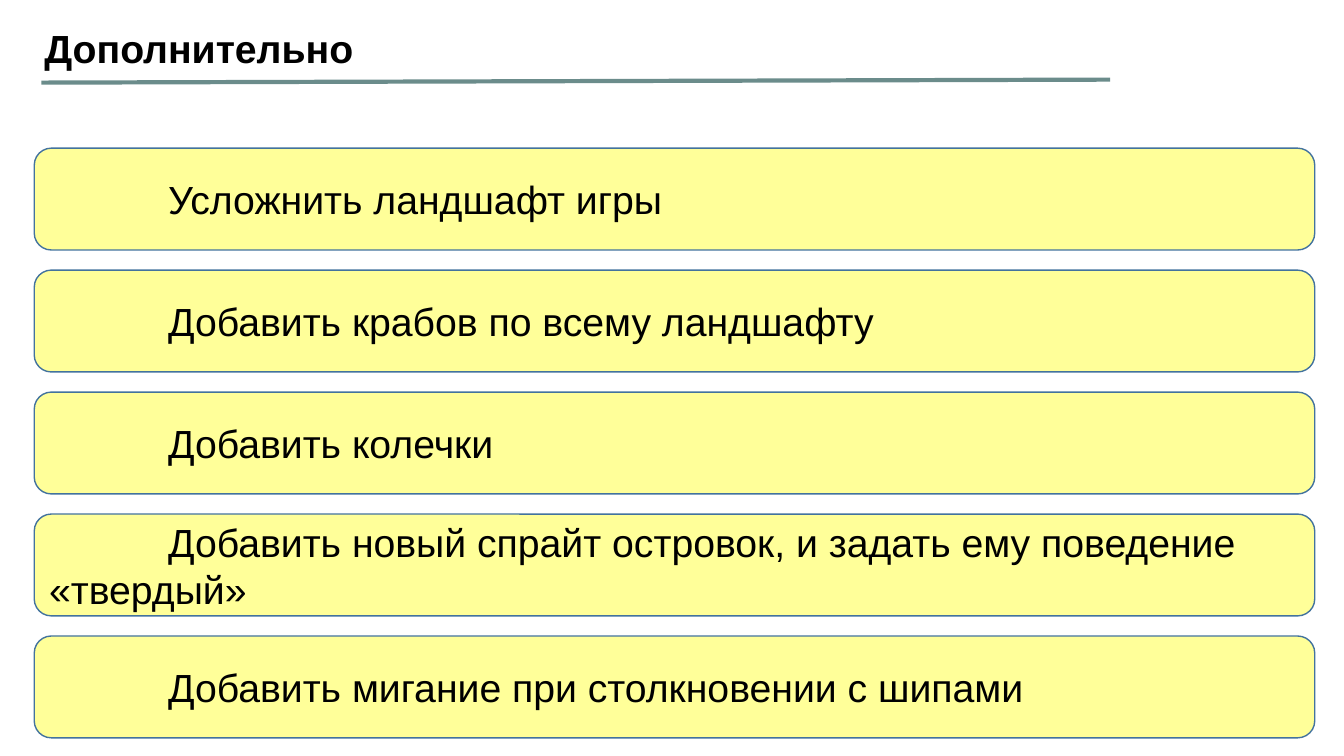
"""Build the slide that lists additional game tasks."""
from dataclasses import dataclass

import pptx
import pptx.dml.color
import pptx.enum.shapes
import pptx.enum.text
import pptx.util
from lxml import etree
from pptx.oxml.ns import qn

Inches = pptx.util.Inches
Pt = pptx.util.Pt
RGBColor = pptx.dml.color.RGBColor


@dataclass(frozen=True)
class Theme:
    """Hold the colours, font and sizes of the slide."""
    font: str = "Arial"
    text_size: int = 28
    text: str = "000000"
    card_fill: str = "FFFF99"
    card_line: str = "43739E"
    rule: str = "6B8C8B"
    card_line_width: int = 1
    rule_width: int = 3


THEME = Theme()
TASKS = [
    "Усложнить ландшафт игры",
    "Добавить крабов по всему ландшафту",
    "Добавить колечки",
    "Добавить новый спрайт островок, и задать ему поведение «твердый»",
    "Добавить мигание при столкновении с шипами",
]
LEFT, WIDTH = 0.34, 12.7
CARDS_TOP, CARD_HEIGHT, CARD_PITCH = 1.47, 1.01, 1.21
FIRST_LINE_INDENT = 1.18


def set_values(target, values):
    """Set each attribute of the target from a dict."""
    for name, value in values.items():
        setattr(target, name, value)


def set_line(line, colour, width):
    """Give a line its colour and width in points."""
    line.color.rgb = RGBColor.from_string(colour)
    line.width = Pt(width)


def write_text(shape, text, bold=False):
    """Write one left-aligned, vertically centred paragraph."""
    frame = shape.text_frame
    set_values(frame, {
        "text": text,
        "word_wrap": True,
        "vertical_anchor": pptx.enum.text.MSO_ANCHOR.MIDDLE,
    })
    paragraph = frame.paragraphs[0]
    paragraph.alignment = pptx.enum.text.PP_ALIGN.LEFT
    set_values(paragraph.font, {
        "name": THEME.font, "size": Pt(THEME.text_size), "bold": bold,
    })
    paragraph.font.color.rgb = RGBColor.from_string(THEME.text)
    return paragraph


def add_title(slide, text):
    """Place and format the title placeholder."""
    title = slide.shapes.title
    set_values(title, {
        "left": Inches(LEFT), "top": Inches(0.13),
        "width": Inches(WIDTH), "height": Inches(0.74),
    })
    write_text(title, text, bold=True).line_spacing = 0.9


def add_title_rule(slide):
    """Draw the slightly rising rule under the title."""
    rule = slide.shapes.add_connector(
        pptx.enum.shapes.MSO_CONNECTOR.STRAIGHT,
        Inches(0.41), Inches(0.82), Inches(11.01), Inches(0.79))
    set_line(rule.line, THEME.rule, THEME.rule_width)
    etree.SubElement(rule._element.spPr, qn("a:effectLst"))


def add_task_card(slide, top, text):
    """Add a rounded card with an indented first line."""
    card = slide.shapes.add_shape(
        pptx.enum.shapes.MSO_SHAPE.ROUNDED_RECTANGLE,
        Inches(LEFT), Inches(top), Inches(WIDTH), Inches(CARD_HEIGHT))
    card.shadow.inherit = False
    card.fill.solid()
    card.fill.fore_color.rgb = RGBColor.from_string(THEME.card_fill)
    set_line(card.line, THEME.card_line, THEME.card_line_width)
    paragraph = write_text(card, text)
    properties = paragraph._p.get_or_add_pPr()
    properties.set("marL", "0")
    properties.set("indent", str(Inches(FIRST_LINE_INDENT)))


def main():
    """Build and save the presentation."""
    presentation = pptx.Presentation()
    set_values(presentation, {
        "slide_width": Inches(13.33), "slide_height": Inches(7.5),
    })
    slide = presentation.slides.add_slide(presentation.slide_layouts[5])
    add_title(slide, "Дополнительно")
    add_title_rule(slide)
    for index, task in enumerate(TASKS):
        add_task_card(slide, CARDS_TOP + index * CARD_PITCH, task)
    presentation.save("out.pptx")


if __name__ == "__main__":
    main()
